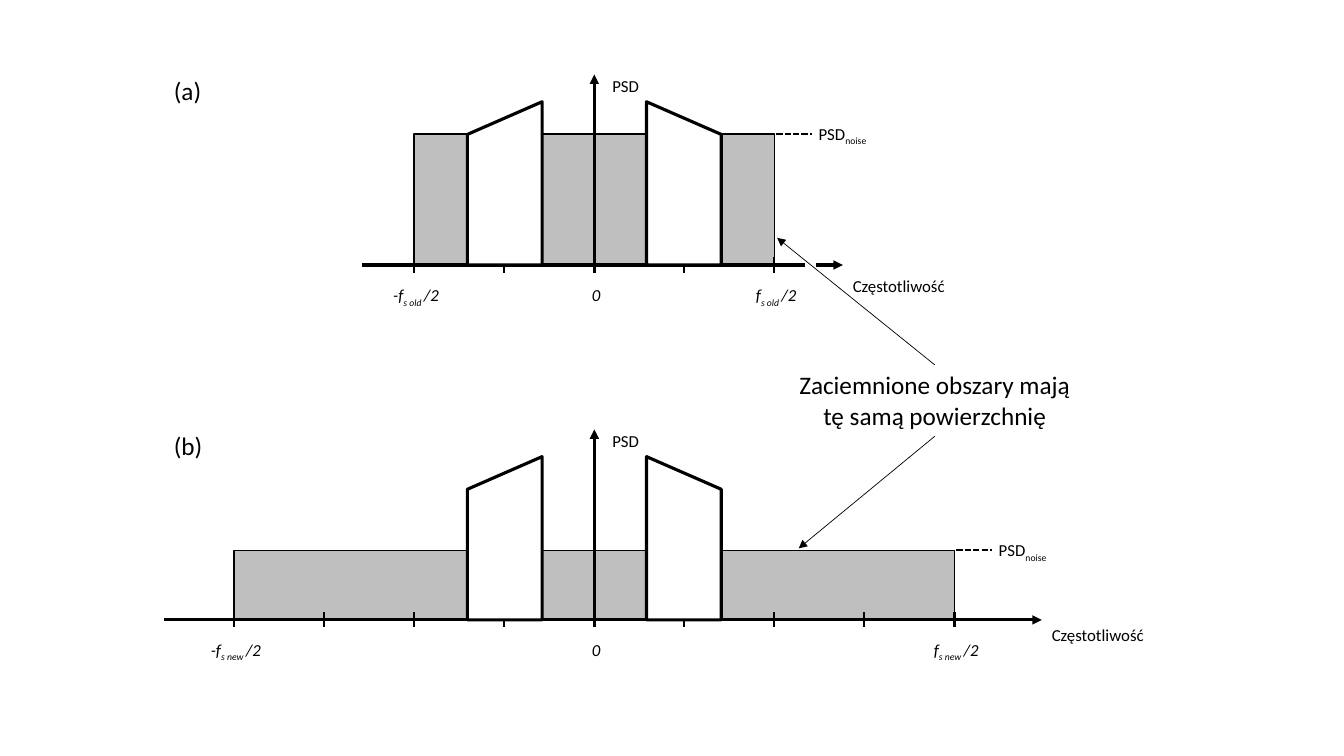
from lxml import etree
from pptx import Presentation
from pptx.dml.color import RGBColor
from pptx.enum.dml import MSO_LINE
from pptx.enum.shapes import MSO_CONNECTOR, MSO_SHAPE
from pptx.enum.text import PP_ALIGN
from pptx.oxml.ns import qn
from pptx.util import Inches, Pt

BLACK = RGBColor(0x00, 0x00, 0x00)
WHITE = RGBColor(0xFF, 0xFF, 0xFF)
NOISE_GREY = RGBColor(0xBF, 0xBF, 0xBF)
STRAIGHT = MSO_CONNECTOR.STRAIGHT
RECTANGLE = MSO_SHAPE.RECTANGLE
SLOPED = MSO_SHAPE.FLOWCHART_MANUAL_INPUT
DASH = MSO_LINE.SQUARE_DOT
LEFT, CENTER = PP_ALIGN.LEFT, PP_ALIGN.CENTER
TOP_SIDE, BOTTOM_SIDE = 0, 2

WIDTH, HEIGHT = Inches(13.33), Inches(7.5)
COLUMN = WIDTH * 0.067  # one frequency tick
ROW = HEIGHT / 50
ORIGIN = 6.6  # zero frequency, in columns from the left edge
FONT = "Calibri"
SMALL, LARGE = 12, 18


def x_at(column):
    """Position of a column counted from zero frequency."""
    return round((ORIGIN + column) * COLUMN)


def y_at(row):
    return round(row * ROW)


def frame(column, row, columns, rows):
    return x_at(column), y_at(row), round(columns * COLUMN), round(rows * ROW)


def add_block(page, kind, place, fill, line, weight):
    block = page.shapes.add_shape(kind, *frame(*place))
    block.shadow.inherit = False
    block.fill.solid()
    block.fill.fore_color.rgb = fill
    block.line.color.rgb = line
    block.line.width = Pt(weight)
    return block


def add_line(page, start, end, weight, dash=None, arrow=False):
    line = page.shapes.add_connector(STRAIGHT, x_at(start[0]), y_at(start[1]),
                                     x_at(end[0]), y_at(end[1]))
    line.line.color.rgb = BLACK
    line.line.width = Pt(weight)
    if dash:
        line.line.dash_style = dash
    properties = line._element.spPr
    if arrow:
        head = etree.SubElement(properties.find(qn("a:ln")), qn("a:tailEnd"))
        head.set("type", "triangle")
    etree.SubElement(properties, qn("a:effectLst"))
    return line


def add_text(page, place, spans, size=SMALL, align=LEFT, italic=False, wrap=False):
    """Add a text box; each span is a pair of text and whether it is a subscript."""
    box = page.shapes.add_textbox(*frame(*place))
    box.text_frame.word_wrap = wrap
    para = box.text_frame.paragraphs[0]
    para.alignment = align
    for text, subscript in spans:
        span = para.add_run()
        span.text = text
        span.font.name = FONT
        span.font.size = Pt(size)
        span.font.italic = italic
        span.font.color.rgb = BLACK
        if subscript:
            span.font._element.set("baseline", "-25000")
    return box


def add_tick_label(page, tick, base, spans):
    add_text(page, (tick - 0.43, base + 1, 0.9, 2), spans, align=CENTER, italic=True)


def add_signal(page, base, mirrored):
    left, width = 0.58, 0.83
    column = left if mirrored else -left - width
    signal = add_block(page, SLOPED, (column, base - 10.8, width, 10.8),
                       WHITE, BLACK, 2.25)
    if mirrored:
        signal._element.spPr.find(qn("a:xfrm")).set("flipH", "1")


def add_spectrum(page, letter, base, band, level, axis, rate, name_drop):
    """Draw one panel: noise up to +-band columns, level rows high, on row base."""
    axis_start, axis_end = axis
    add_block(page, RECTANGLE, (-band, base - level, 2 * band, level),
              NOISE_GREY, BLACK, 1)
    add_line(page, (0, base + 0.5), (0, base - 12.6), 2.25, arrow=True)
    add_line(page, (axis_start, base), (axis_end, base), 2.25, arrow=True)
    for tick in range(-band, band + 1):
        add_line(page, (tick, base - 0.5), (tick, base + 0.5), 1.5)
    for sign, tick in (("-f", -band), ("f", band)):
        add_tick_label(page, tick, base, [(sign, False), (rate, True), ("/2", False)])
    add_tick_label(page, 0, base, [("0", False)])
    add_text(page, (axis_end, base + name_drop, 1.27, 2), [("Częstotliwość", False)])
    add_text(page, (0.09, base - 12.87, 0.53, 2), [("PSD", False)])

    noise_row = base - level
    add_line(page, (band + 0.02, noise_row), (band + 0.42, noise_row), 1.5, dash=DASH)
    add_text(page, (band + 0.38, noise_row - 1, 0.81, 2),
             [("PSD", False), ("noise", True)])
    for mirrored in (True, False):
        add_signal(page, base, mirrored)
    add_text(page, (-4.78, base - 12.87, 0.54, 2.67), [(letter, False)], size=LARGE)


def add_message(page):
    message = add_text(page, (2.03, 24.13, 3.5, 4.73),
                       [("Zaciemnione obszary mają tę samą powierzchnię", False)],
                       size=LARGE, align=CENTER, wrap=True)
    for side, start, end in ((TOP_SIDE, (3.78, 24.13), (2.03, 15.73)),
                             (BOTTOM_SIDE, (3.78, 28.87), (2.27, 36.27))):
        pointer = add_line(page, start, end, 0.5, arrow=True)
        pointer.begin_connect(message, side)


def main():
    deck = Presentation()
    deck.slide_width, deck.slide_height = WIDTH, HEIGHT
    page = deck.slides.add_slide(deck.slide_layouts[6])
    old_base, new_base = 17.53, 41
    add_spectrum(page, "(a)", old_base, band=2, level=8.67,
                 axis=(-2.58, 2.76), rate="s old ", name_drop=0.4)
    add_spectrum(page, "(b)", new_base, band=4, level=4.6,
                 axis=(-4.78, 4.97), rate="s new ", name_drop=0)
    add_block(page, RECTANGLE, (2.35, old_base - 0.67, 0.11, 1.33), WHITE, WHITE, 1)
    add_message(page)
    deck.save("out.pptx")


if __name__ == "__main__":
    main()
